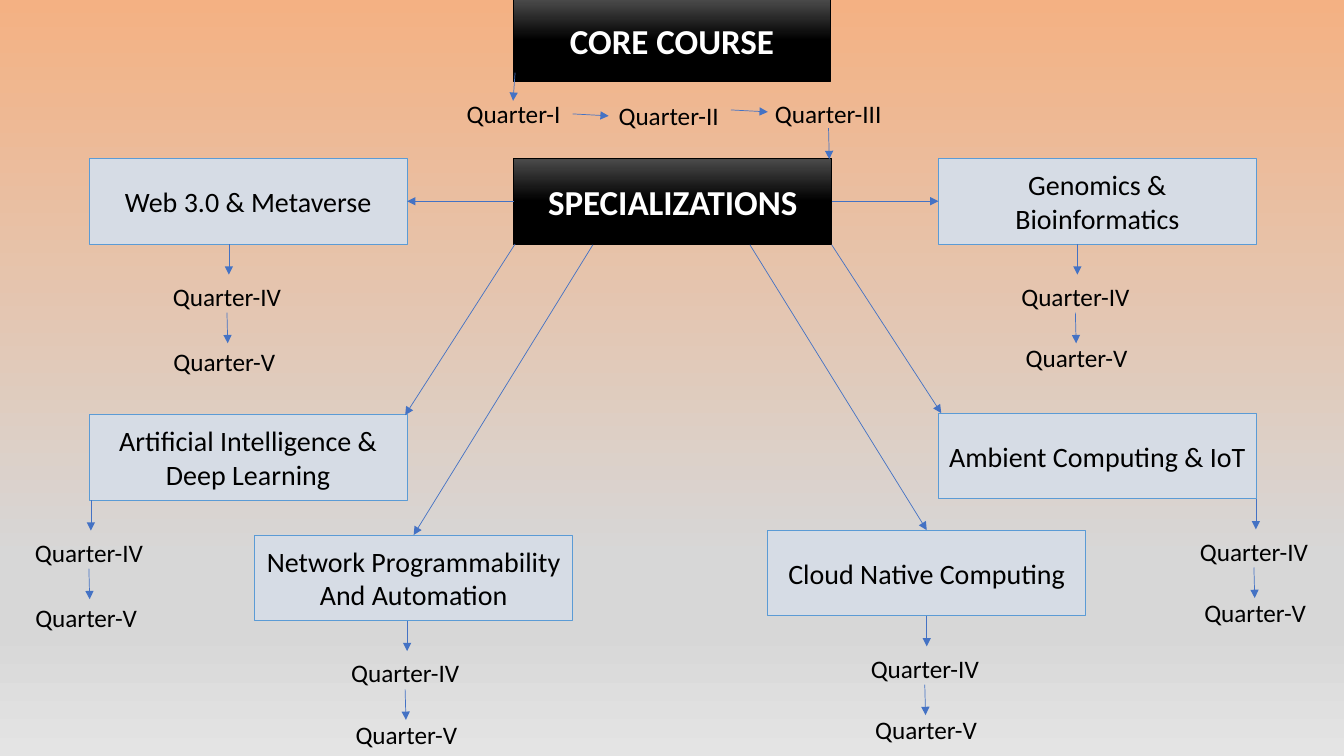
from dataclasses import dataclass
from typing import NamedTuple, Optional, Union

from lxml.etree import SubElement
from pptx import Presentation
from pptx.dml.color import RGBColor
from pptx.enum.shapes import MSO_CONNECTOR as Connector, MSO_SHAPE as Preset
from pptx.enum.text import MSO_ANCHOR as Anchor, MSO_AUTO_SIZE as AutoSize, PP_ALIGN as Align
from pptx.oxml.ns import qn
from pptx.shapes.autoshape import Shape
from pptx.slide import Slide
from pptx.text.text import TextFrame
from pptx.util import Cm, Pt

Stops = tuple[tuple[int, str], ...]
TOP, LEFT, BOTTOM, RIGHT = range(4)
BOX_WIDTH, BOX_HEIGHT = 8.01, 2.16
LABEL_HEIGHT = 1.02
STEP = 0.77  # length of the short arrow between quarters


@dataclass(frozen=True)
class Theme:
    font: str = "Calibri"
    background: Stops = ((0, "F4B183"), (74, "D7D7D7"), (83, "D7D7D7"), (100, "E4E4E4"))
    heading_fill: Stops = ((0, "4B4B4B"), (50, "000000"), (100, "000000"))
    heading_line: str = "000000"
    heading_text: str = "FFFFFF"
    box_fill: str = "D6DCE5"
    box_line: str = "5B9BD5"
    text: str = "000000"
    arrow: str = "4472C4"
    heading_size: int = 25
    box_size: int = 20
    label_size: int = 18
    line_width: float = 0.5


THEME = Theme()


class Point(NamedTuple):
    x: float
    y: float


class Joint(NamedTuple):
    """A side of a box that an arrow is joined to."""
    box: Shape
    side: int


End = Union[Point, Joint]


class Quarter(NamedTuple):
    text: str
    left: float
    top: float
    width: float


@dataclass(frozen=True)
class Specialization:
    """A course box; its quarters start below track_x, or below its middle."""
    text: str
    left: float
    top: float
    branch_start: Union[Point, int]
    branch_end: Union[Point, int]
    track_x: Optional[float] = None
    last_quarter: Point = Point(-1.55, 2.35)


CORE_QUARTERS = (
    Quarter("Quarter-I", 11.51, 2.36, 2.93),
    Quarter("Quarter-II", 15.34, 2.41, 3.08),
    Quarter("Quarter-III", 19.28, 2.36, 3.26),
)
CORE_ARROWS = (
    (Point(12.98, 1.83), Point(12.93, 2.54)),
    (Point(14.43, 2.87), Point(15.34, 2.92)),
    (Point(18.42, 2.77), Point(19.35, 2.82)),
    (Point(20.88, 3.23), Point(20.9, 4.01)),
)
WIDE_LAST = Point(-1.65, 2.46)
SPECIALIZATIONS = (
    Specialization("Web 3.0 & Metaverse", 2.25, 3.99, LEFT, RIGHT, 5.77, WIDE_LAST),
    Specialization("Genomics & Bioinformatics", 23.65, 3.99, RIGHT, LEFT, 27.15),
    Specialization("Artificial Intelligence &\nDeep Learning", 2.25, 10.44,
                   Point(12.98, 6.15), Point(10.21, 10.46), 2.29, WIDE_LAST),
    Specialization("Ambient Computing & IoT", 23.65, 10.41,
                   Point(20.96, 6.17), Point(23.72, 10.41), 31.65),
    Specialization("Network Programmability\nAnd Automation", 6.42, 13.48,
                   Point(14.94, 6.17), TOP, 10.26),
    Specialization("Cloud Native Computing", 19.35, 13.36, Point(18.9, 6.17), TOP),
)


def paint_gradient(fill, owner, stops: Stops) -> None:
    """Fill from top to bottom; owner is the XML element holding the fill."""
    fill.gradient()
    fill.gradient_angle = 270
    stop_list = owner.find(".//" + qn("a:gsLst"))
    for old_stop in list(stop_list):
        stop_list.remove(old_stop)
    for percent, color in stops:
        stop = SubElement(stop_list, qn("a:gs"), pos=str(percent * 1000))
        SubElement(stop, qn("a:srgbClr"), val=color)


def write(frame: TextFrame, text: str, size: int, color: str,
          align: Align, bold: bool = False) -> None:
    frame.word_wrap = True
    frame.text = text
    for paragraph in frame.paragraphs:
        paragraph.alignment = align
        for run in paragraph.runs:
            run.font.name = THEME.font
            run.font.size = Pt(size)
            run.font.bold = bold
            run.font.color.rgb = RGBColor.from_string(color)


def add_box(slide: Slide, left: float, top: float, height: float, line: str) -> Shape:
    box = slide.shapes.add_shape(Preset.RECTANGLE, Cm(left), Cm(top), Cm(BOX_WIDTH), Cm(height))
    box.shadow.inherit = False
    box.line.color.rgb = RGBColor.from_string(line)
    box.line.width = Pt(THEME.line_width)
    box.text_frame.vertical_anchor = Anchor.MIDDLE
    return box


def add_heading(slide: Slide, text: str, left: float, top: float, height: float) -> Shape:
    box = add_box(slide, left, top, height, THEME.heading_line)
    paint_gradient(box.fill, box.element.spPr, THEME.heading_fill)
    write(box.text_frame, text, THEME.heading_size, THEME.heading_text, Align.CENTER, bold=True)
    return box


def add_course(slide: Slide, course: Specialization) -> Shape:
    box = add_box(slide, course.left, course.top, BOX_HEIGHT, THEME.box_line)
    box.fill.solid()
    box.fill.fore_color.rgb = RGBColor.from_string(THEME.box_fill)
    write(box.text_frame, course.text, THEME.box_size, THEME.text, Align.CENTER)
    return box


def add_quarter(slide: Slide, quarter: Quarter) -> None:
    label = slide.shapes.add_textbox(
        Cm(quarter.left), Cm(quarter.top), Cm(quarter.width), Cm(LABEL_HEIGHT))
    write(label.text_frame, quarter.text, THEME.label_size, THEME.text, Align.LEFT)
    label.text_frame.auto_size = AutoSize.SHAPE_TO_FIT_TEXT


def add_arrow(slide: Slide, start: End, end: End) -> None:
    x1, y1 = start if isinstance(start, Point) else (0, 0)
    x2, y2 = end if isinstance(end, Point) else (0, 0)
    arrow = slide.shapes.add_connector(Connector.STRAIGHT, Cm(x1), Cm(y1), Cm(x2), Cm(y2))
    if isinstance(start, Joint):
        arrow.begin_connect(start.box, start.side)
    if isinstance(end, Joint):
        arrow.end_connect(end.box, end.side)
    arrow.line.color.rgb = RGBColor.from_string(THEME.arrow)
    arrow.line.width = Pt(THEME.line_width)
    SubElement(arrow.line._get_or_add_ln(), qn("a:tailEnd"), type="triangle")
    SubElement(arrow._element.spPr, qn("a:effectLst"))


def add_track(slide: Slide, course: Specialization, box: Shape) -> None:
    """Draw the two quarters that follow below a course box."""
    centered = course.track_x is None
    x = course.left + BOX_WIDTH / 2 if centered else course.track_x
    y = course.top + BOX_HEIGHT
    add_arrow(slide, Joint(box, BOTTOM) if centered else Point(x, y), Point(x, y + STEP))
    add_quarter(slide, Quarter("Quarter-IV", x - 1.66, y + 0.81, 3.28))
    add_arrow(slide, Point(x - 0.05, y + 1.73), Point(x - 0.03, y + 1.73 + STEP))
    dx, dy = course.last_quarter
    add_quarter(slide, Quarter("Quarter-V", x + dx, y + dy, 3.28))


def as_end(place: Union[Point, int], box: Shape) -> End:
    return place if isinstance(place, Point) else Joint(box, place)


def main() -> None:
    deck = Presentation()
    deck.slide_width, deck.slide_height = Cm(33.87), Cm(19.05)
    slide = deck.slides.add_slide(deck.slide_layouts.get_by_name("Blank"))
    paint_gradient(slide.background.fill, slide.element, THEME.background)

    add_heading(slide, "CORE COURSE", 12.93, -0.02, 2.06)
    hub = add_heading(slide, "SPECIALIZATIONS", 12.95, 3.99, BOX_HEIGHT)
    for quarter in CORE_QUARTERS:
        add_quarter(slide, quarter)
    for start, end in CORE_ARROWS:
        add_arrow(slide, start, end)
    for course in SPECIALIZATIONS:
        box = add_course(slide, course)
        add_track(slide, course, box)
        add_arrow(slide, as_end(course.branch_start, hub), as_end(course.branch_end, box))
    deck.save("out.pptx")


if __name__ == "__main__":
    main()
